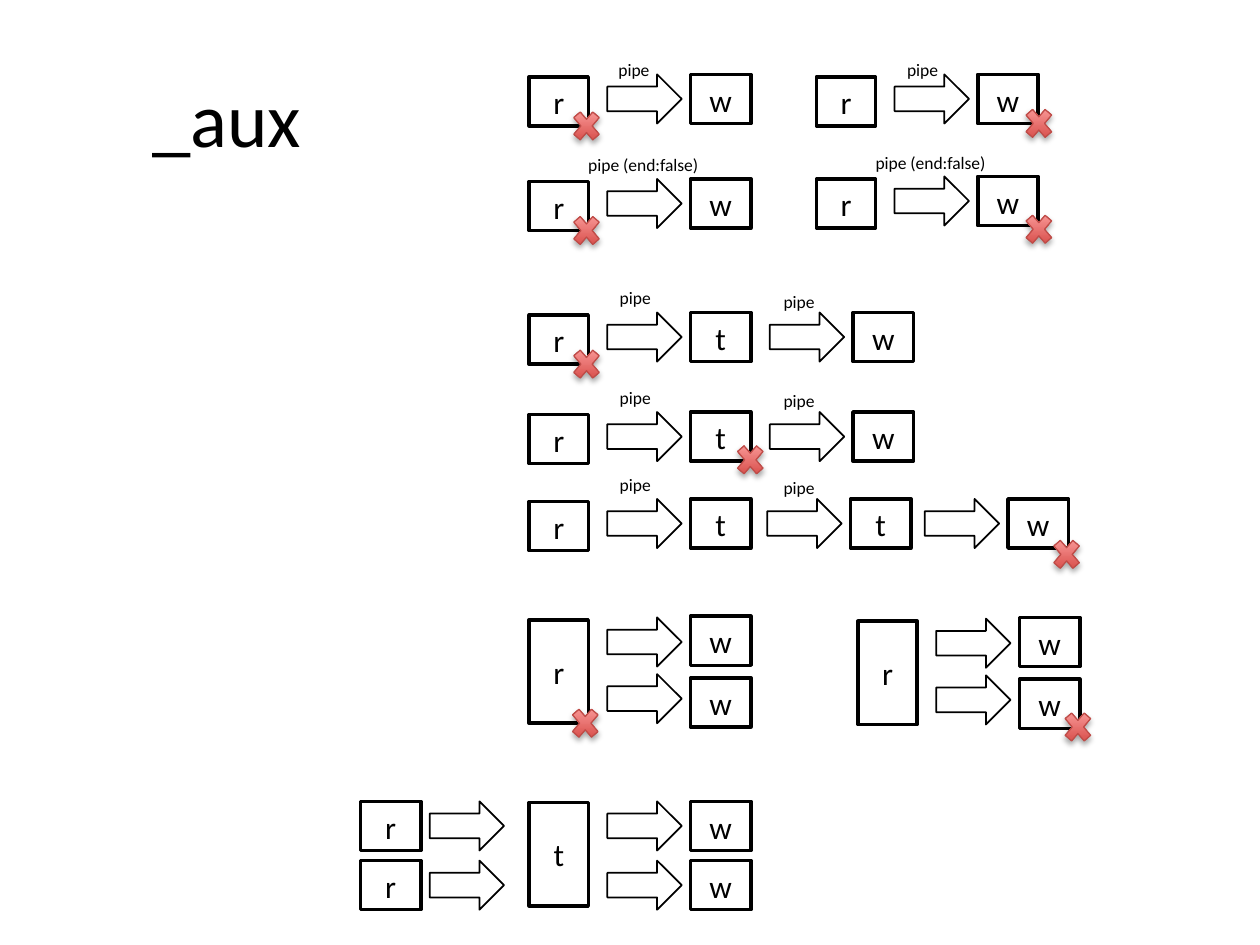
from dataclasses import dataclass
from typing import NamedTuple

from lxml.etree import SubElement
from pptx import Presentation
from pptx.dml.color import RGBColor
from pptx.enum.shapes import MSO_SHAPE as Preset
from pptx.enum.text import MSO_ANCHOR as Anchor, MSO_AUTO_SIZE as AutoSize, PP_ALIGN as Align
from pptx.oxml.ns import qn
from pptx.shapes.autoshape import Shape
from pptx.slide import Slide
from pptx.util import Emu, Inches, Pt

COLORS = {"ink": "000000", "paper": "FFFFFF", "cross_dark": "D1403C",
          "cross_light": "FFA6A5", "cross_edge": "BF4C48"}
COLUMNS, ROWS = 100, 75
SLIDE_WIDTH, SLIDE_HEIGHT = Inches(10), Inches(7.5)
BOX_WIDTH, BOX_HEIGHT, HUB_HEIGHT = 4.8, 3.9, 8.2
ARROW_WIDTH, ARROW_LEAD = 5.9, 6.6
FIRST_WIDTH, FIRST_DROP = 4.7, 0.2
SOURCE_LEFT, SOURCE_ARROW = 28.6, 34.1
HUB_TO_SINK = 12.8
SHADOW = {"blurRad": "40000", "dist": "23000", "dir": "5400000", "rotWithShape": "0"}


class Cell(NamedTuple):
    left: float
    top: float
    width: float
    height: float


@dataclass
class Chain:
    letters: str
    top: float
    lefts: tuple[float, ...]


@dataclass
class Fan:
    letter: str
    left: float
    top: float
    box_tops: tuple[float, float]
    arrow_tops: tuple[float, float]
    has_sources: bool = False


@dataclass
class Caption:
    text: str
    left: float
    top: float
    width: float = 4.5


CHAINS = [
    Chain("rw", 5.9, (42, 54.8)),
    Chain("rw", 5.9, (64.8, 77.6)),
    Chain("rw", 14.2, (42, 54.8)),
    Chain("rw", 14, (64.8, 77.6)),
    Chain("rtw", 24.8, (42, 54.8, 67.7)),
    Chain("rtw", 32.7, (42, 54.8, 67.7)),
    Chain("rttw", 39.6, (42, 54.8, 67.5, 80)),
]
FANS = [
    Fan("r", 42, 49.2, (48.9, 53.8), (49, 53.5)),
    Fan("r", 68.1, 49.3, (49, 53.9), (49.1, 53.6)),
    Fan("t", 42, 63.7, (63.6, 68.3), (63.6, 68.3), has_sources=True),
]
CAPTIONS = [
    Caption("pipe", 48.1, 4.2), Caption("pipe", 71, 4.2),
    Caption("pipe (end:false)", 45.7, 11.7, 10.9),
    Caption("pipe (end:false)", 68.5, 11.6, 10.9),
    *(Caption("pipe", left, top + drop) for top in (22.3, 30.2, 37.1)
      for left, drop in ((48.2, 0), (61.2, 0.3))),
]
CROSSES = [(45.1, 8.3), (81, 8.1), (45.1, 16.6), (81, 16.5), (45.1, 27.2),
           (58.1, 34.8), (83.2, 42.3), (45, 55.7), (84.1, 56)]


def color(name: str) -> RGBColor:
    return RGBColor.from_string(COLORS[name])


def place(cell: Cell) -> list[Emu]:
    column, row = SLIDE_WIDTH / COLUMNS, SLIDE_HEIGHT / ROWS
    return [Emu(round(length * unit)) for length, unit in zip(cell, (column, row) * 2)]


def write(shape: Shape, text: str, size: float, align: Align, frame_format: dict) -> None:
    frame = shape.text_frame
    for name, value in frame_format.items():
        setattr(frame, name, value)
    paragraph = frame.paragraphs[0]
    paragraph.alignment = align
    run = paragraph.add_run()
    run.text = text
    for name, value in {"name": "Calibri", "size": Pt(size)}.items():
        setattr(run.font, name, value)
    run.font.color.rgb = color("ink")


def add_outlined(slide: Slide, preset: Preset, cell: Cell, line_width: float,
                 line_color: str = "ink") -> Shape:
    shape = slide.shapes.add_shape(preset, *place(cell))
    shape.shadow.inherit = False
    shape.fill.solid()
    shape.fill.fore_color.rgb = color("paper")
    shape.line.color.rgb = color(line_color)
    shape.line.width = Pt(line_width)
    return shape


def add_box(slide: Slide, letter: str, cell: Cell, anchor: Anchor = Anchor.TOP) -> None:
    box = add_outlined(slide, Preset.RECTANGLE, cell, 2)
    write(box, letter, 18, Align.CENTER, {"word_wrap": True, "vertical_anchor": anchor})


def add_arrow(slide: Slide, left: float, top: float) -> None:
    add_outlined(slide, Preset.RIGHT_ARROW, Cell(left, top, ARROW_WIDTH, BOX_HEIGHT), 1)


def add_chain(slide: Slide, chain: Chain) -> None:
    for index, (letter, left) in enumerate(zip(chain.letters, chain.lefts)):
        if index:
            add_box(slide, letter, Cell(left, chain.top, BOX_WIDTH, BOX_HEIGHT))
            add_arrow(slide, left - ARROW_LEAD, chain.top)
        else:
            add_box(slide, letter, Cell(left, chain.top + FIRST_DROP, FIRST_WIDTH, BOX_HEIGHT))


def add_fan(slide: Slide, fan: Fan) -> None:
    hub = Cell(fan.left, fan.top, FIRST_WIDTH, HUB_HEIGHT)
    add_box(slide, fan.letter, hub, Anchor.MIDDLE)
    sink_left = fan.left + HUB_TO_SINK
    for box_top, arrow_top in zip(fan.box_tops, fan.arrow_tops):
        add_arrow(slide, sink_left - ARROW_LEAD, arrow_top)
        add_box(slide, "w", Cell(sink_left, box_top, BOX_WIDTH, BOX_HEIGHT))
        if fan.has_sources:
            add_arrow(slide, SOURCE_ARROW, arrow_top)
            add_box(slide, "r", Cell(SOURCE_LEFT, box_top, BOX_WIDTH, BOX_HEIGHT))


def add_caption(slide: Slide, caption: Caption) -> None:
    cell = Cell(caption.left, caption.top, caption.width, 2.7)
    text_box = slide.shapes.add_textbox(*place(cell))
    write(text_box, caption.text, 10, Align.LEFT,
          {"word_wrap": False, "auto_size": AutoSize.SHAPE_TO_FIT_TEXT})


def add_cross(slide: Slide, left: float, top: float) -> None:
    cross = add_outlined(slide, Preset.MATH_MULTIPLY, Cell(left, top, 2.9, 3.4), 0.75, "cross_edge")
    cross.fill.gradient()
    cross.fill.gradient_angle = 90
    for stop, name in zip(cross.fill.gradient_stops, ("cross_dark", "cross_light")):
        stop.color.rgb = color(name)
    effects = cross._element.spPr.find(qn("a:effectLst"))
    shadow = SubElement(effects, qn("a:outerShdw"), SHADOW)
    shade = SubElement(shadow, qn("a:srgbClr"), {"val": COLORS["ink"]})
    SubElement(shade, qn("a:alpha"), {"val": "35000"})


def main() -> None:
    """Build the slide of piped streams and their failing ends."""
    presentation = Presentation()
    presentation.slide_width, presentation.slide_height = SLIDE_WIDTH, SLIDE_HEIGHT
    slide = presentation.slides.add_slide(presentation.slide_layouts[6])
    title = slide.shapes.add_textbox(*place(Cell(5, 3, 26, 12.5)))
    write(title, "_aux", 44, Align.CENTER,
          {"word_wrap": True, "vertical_anchor": Anchor.MIDDLE})
    for chain in CHAINS:
        add_chain(slide, chain)
    for fan in FANS:
        add_fan(slide, fan)
    for caption in CAPTIONS:
        add_caption(slide, caption)
    for left, top in CROSSES:
        add_cross(slide, left, top)
    presentation.save("out.pptx")


if __name__ == "__main__":
    main()
